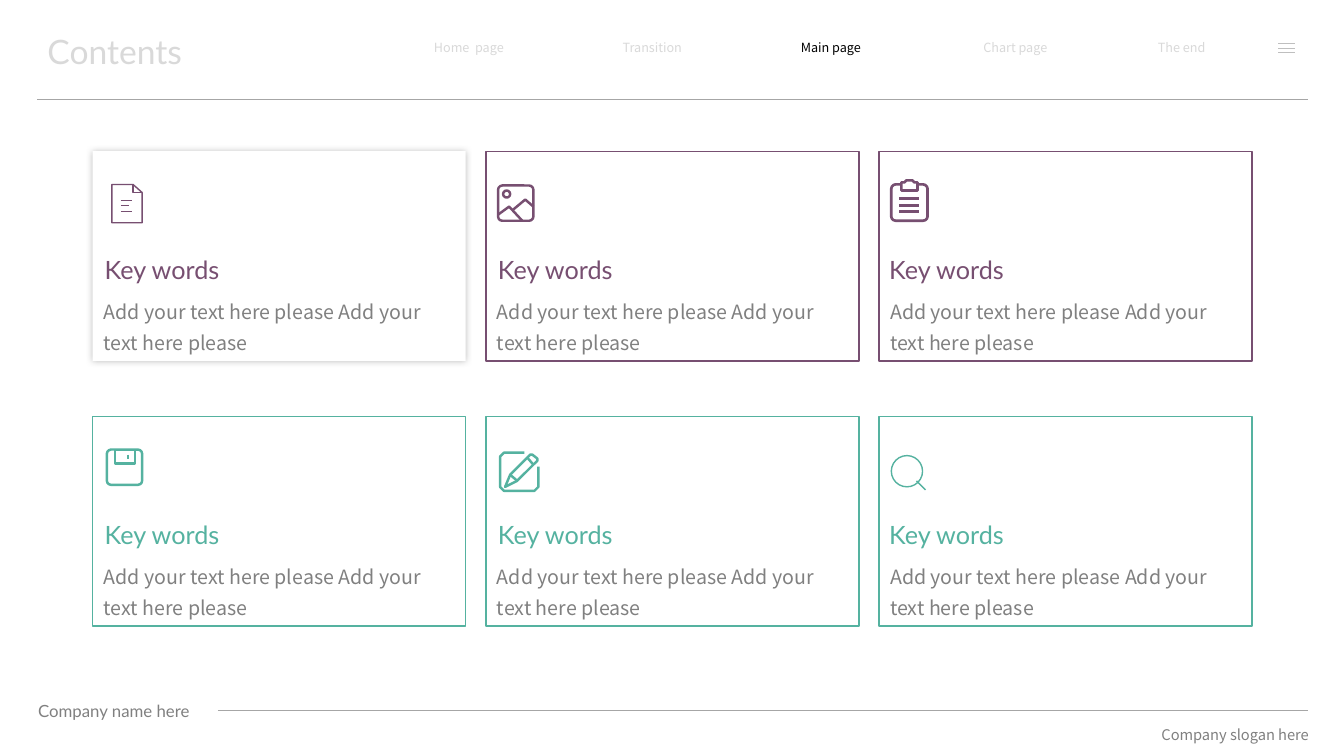
"""Builds a contents slide with six keyword cards under a navigation bar."""
from lxml.etree import SubElement
from pptx import Presentation
from pptx.dml.color import RGBColor
from pptx.enum.shapes import MSO_CONNECTOR, MSO_SHAPE
from pptx.enum.text import MSO_ANCHOR, MSO_AUTO_SIZE, PP_ALIGN
from pptx.oxml.ns import qn
from pptx.util import Inches, Pt

COLORS = {"purple": "774F71", "green": "55B2A0", "pale": "D9D9D9", "menu": "BFBFBF",
          "rule": "A6A6A6", "grey": "808080", "black": "000000", "white": "FFFFFF"}
HEADING_FONT, BODY_FONT = "Lato", "Noto Sans CJK SC"
TITLE = "Contents"
NAVIGATION = [("Home  page", 3.93, 1.44, "pale"), ("Transition", 5.8, 1.34, "pale"),
              ("Main page", 7.57, 1.34, "black"), ("Chart page", 9.34, 1.46, "pale"),
              ("The end", 11.24, 0.96, "pale")]
COMPANY, SLOGAN = "Company name here", "Company slogan here"
KEYWORD = "Key words"
DETAIL = "Add your text here please Add your text here please"

DOCUMENT = [
    ("outline", [(.01, .01), (.22, .01), (.31, .09), (.31, .39), (.01, .39)]),
    ("stroke", [(.22, .01), (.22, .09), (.31, .09)]),
    ("stroke", [(.1, .17), (.21, .17)]),
    ("stroke", [(.1, .22), (.18, .22)]),
    ("stroke", [(.1, .28), (.21, .28)])]
PICTURE = [
    ("rounded", (.01, .01, .35, .35)),
    ("circle", (.06, .06, .07, .07)),
    ("stroke", [(.01, .3), (.12, .22), (.25, .36)]),
    ("stroke", [(.16, .25), (.28, .15), (.36, .22)])]
CLIPBOARD = [
    ("rounded", (.01, .06, .36, .36)),
    ("outline", [(.11, .04), (.14, .04), (.16, .02), (.22, .02),
                 (.24, .04), (.27, .04), (.27, .12), (.11, .12)]),
    ("stroke", [(.09, .2), (.29, .2)]),
    ("stroke", [(.09, .27), (.29, .27)]),
    ("stroke", [(.09, .33), (.29, .33)])]
DISK = [
    ("rounded", (.01, .01, .35, .35)),
    ("stroke", [(.09, .01), (.09, .15), (.29, .15), (.29, .01)]),
    ("stroke", [(.22, .06), (.22, .1)])]
PENCIL = [
    ("stroke", [(.25, .01), (.05, .01), (.01, .05), (.01, .35),
                (.05, .39), (.35, .39), (.39, .35), (.39, .15)]),
    ("outline", [(.06, .35), (.11, .23), (.31, .03), (.33, .03),
                 (.38, .07), (.38, .09), (.18, .29)]),
    ("stroke", [(.28, .06), (.34, .13)]),
    ("stroke", [(.11, .23), (.18, .29)])]
LENS = [
    ("circle", (.01, .01, .31, .31)),
    ("stroke", [(.26, .26), (.35, .35)])]

CARDS = [[(DOCUMENT, 1.1, 1.82, 1), (PICTURE, 4.93, 1.83, 1.75), (CLIPBOARD, 8.83, 1.77, 1.9)],
         [(DISK, 1.05, 4.45, 1.75), (PENCIL, 4.95, 4.48, 1.75), (LENS, 8.83, 4.51, 1)]]
ROW_COLORS = ["purple", "green"]
CARD_LEFT, CARD_TOP, CARD_WIDTH, CARD_HEIGHT = 0.92, 1.5, 3.7, 2.08
COLUMN_STEP, ROW_STEP = 3.9, 2.63

deck = Presentation()
deck.slide_width, deck.slide_height = Inches(13.33), Inches(7.5)
page = deck.slides.add_slide(deck.slide_layouts[5])


def color(name):
    return RGBColor.from_string(COLORS[name])


def write(box, text, size, font, tint, align=PP_ALIGN.LEFT, spacing=None):
    frame = box.text_frame
    frame.text = text
    frame.word_wrap = True
    frame.auto_size = MSO_AUTO_SIZE.SHAPE_TO_FIT_TEXT
    frame.vertical_anchor = MSO_ANCHOR.TOP
    para = frame.paragraphs[0]
    para.alignment = align
    para.space_before = Pt(0)
    if spacing:
        para.line_spacing = spacing
    span = para.runs[0]
    span.font.size, span.font.name = Pt(size), font
    span.font.color.rgb = color(tint)


def add_text(left, top, width, height, *style, **options):
    box = page.shapes.add_textbox(*map(Inches, (left, top, width, height)))
    write(box, *style, **options)


def add_line(start, end, tint, weight=0.5):
    line = page.shapes.add_connector(MSO_CONNECTOR.STRAIGHT, *map(Inches, (*start, *end)))
    line.line.color.rgb, line.line.width = color(tint), Pt(weight)
    SubElement(line._element.spPr, qn("a:effectLst"))


def paint(shape, fill, tint, weight):
    shape.shadow.inherit = False
    if fill:
        shape.fill.solid()
        shape.fill.fore_color.rgb = color(fill)
    else:
        shape.fill.background()
    if tint:
        shape.line.color.rgb, shape.line.width = color(tint), Pt(weight)
    else:
        shape.line.fill.background()


def add_preset(preset, left, top, width, height, fill, tint, weight):
    shape = page.shapes.add_shape(preset, *map(Inches, (left, top, width, height)))
    paint(shape, fill, tint, weight)
    return shape


def add_icon(parts, left, top, tint, weight):
    for kind, geometry in parts:
        if kind in ("rounded", "circle"):
            x, y, width, height = geometry
            preset = MSO_SHAPE.OVAL if kind == "circle" else MSO_SHAPE.ROUNDED_RECTANGLE
            shape = add_preset(preset, left + x, top + y, width, height, None, tint, weight)
            if kind == "rounded":
                shape.adjustments[0] = 0.12
            continue
        points = [(left + x, top + y) for x, y in geometry]
        if len(points) == 2:
            add_line(*points, tint, weight)
            continue
        corners = [(Inches(x), Inches(y)) for x, y in points]
        builder = page.shapes.build_freeform(*corners[0], scale=1.0)
        builder.add_line_segments(corners[1:], close=kind == "outline")
        paint(builder.convert_to_shape(), "white" if kind == "outline" else None, tint, weight)


def add_soft_shadow(shape):
    effects = shape._element.spPr.find(qn("a:effectLst"))
    shadow = SubElement(effects, qn("a:outerShdw"), blurRad=str(Pt(5)), dist="0", dir="0",
                        algn="ctr", rotWithShape="0")
    SubElement(shadow, qn("a:srgbClr"), val=COLORS["menu"])


def add_card(row, column):
    icon, icon_left, icon_top, weight = CARDS[row][column]
    tint = ROW_COLORS[row]
    left, top = CARD_LEFT + column * COLUMN_STEP, CARD_TOP + row * ROW_STEP
    raised = row == column == 0
    card = add_preset(MSO_SHAPE.RECTANGLE, left, top, CARD_WIDTH, CARD_HEIGHT,
                      "white" if raised else None, None if raised else tint, 1)
    if raised:
        add_soft_shadow(card)
    add_icon(icon, icon_left, icon_top, tint, weight)
    text_left = left if column == 2 else left + 0.02
    add_text(text_left, top + 0.97, 2.58, 0.4, KEYWORD, 18, HEADING_FONT, tint)
    add_text(left + 0.01, top + 1.36, 3.62, 0.71, DETAIL, 14, BODY_FONT, "grey", spacing=1.3)


title = page.shapes.title
title.left, title.top, title.width, title.height = map(Inches, (0.37, 0.26, 2.55, 0.5))
write(title, TITLE, 24, HEADING_FONT, "pale")
add_line((0.37, 0.99), (12.97, 0.99), "rule")
for label, left, width, tint in NAVIGATION:
    add_text(left, 0.35, width, 0.25, label, 9, BODY_FONT, tint, align=PP_ALIGN.CENTER)
for y in (0.43, 0.48, 0.52):
    add_line((12.68, y), (12.84, y), "menu")

for row in range(len(CARDS)):
    for column in range(len(CARDS[row])):
        add_card(row, column)

add_line((2.16, 7.05), (12.97, 7.05), "rule")
add_text(0.28, 6.9, 2.16, 0.3, COMPANY, 12, HEADING_FONT, "grey")
add_text(10.84, 7.15, 2.24, 0.28, SLOGAN, 10.5, BODY_FONT, "grey", align=PP_ALIGN.RIGHT)

deck.save("out.pptx")
